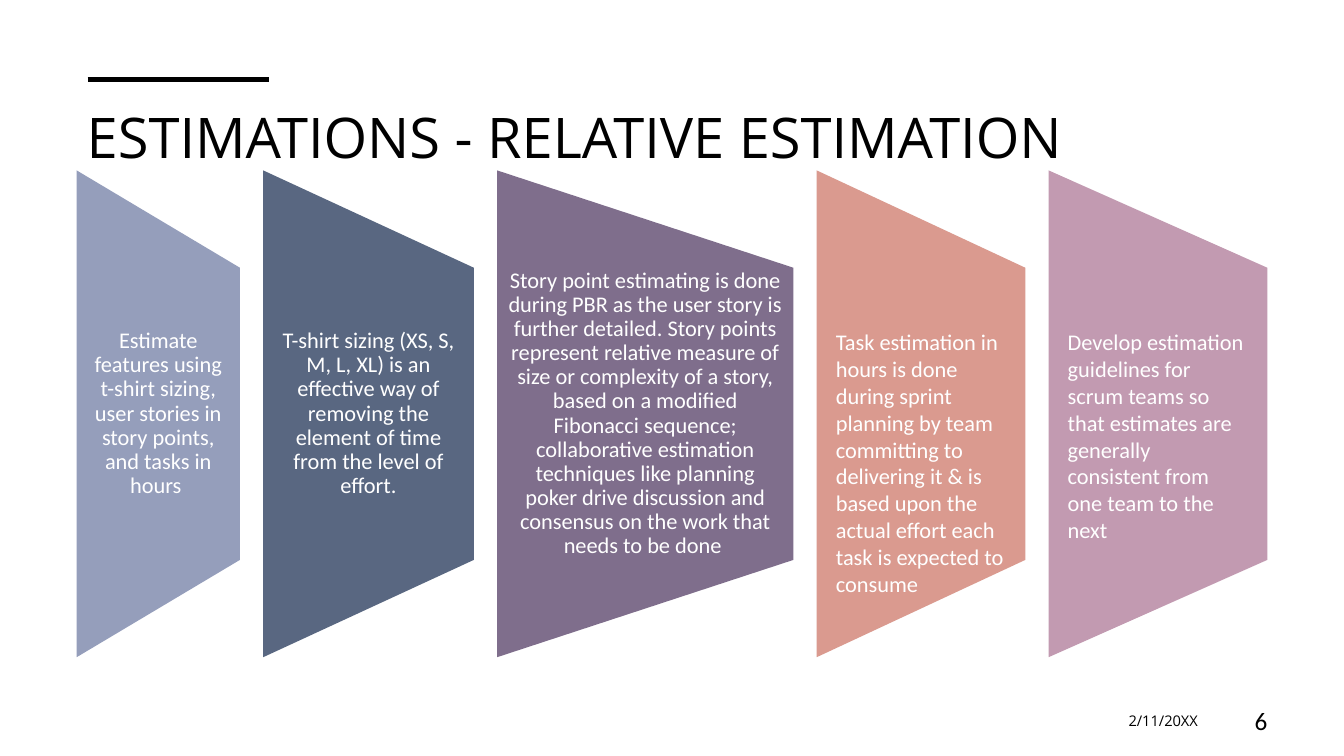
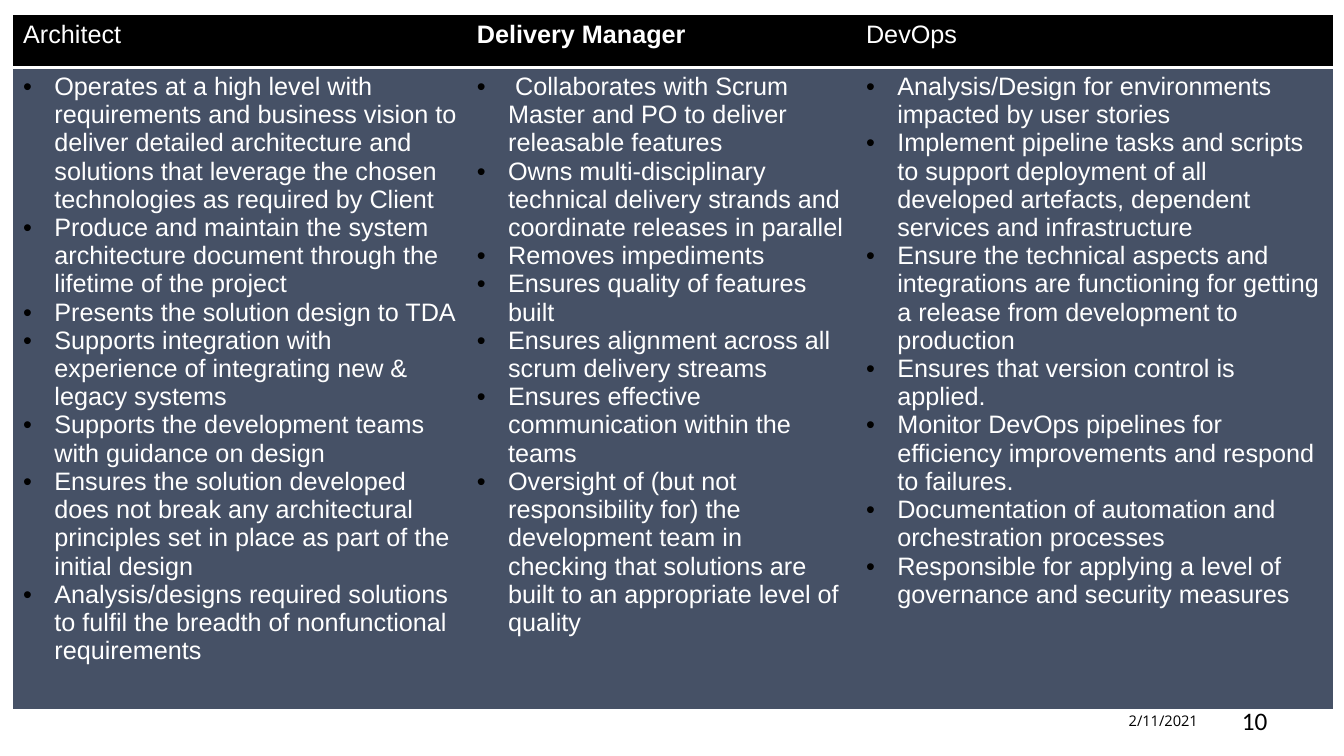
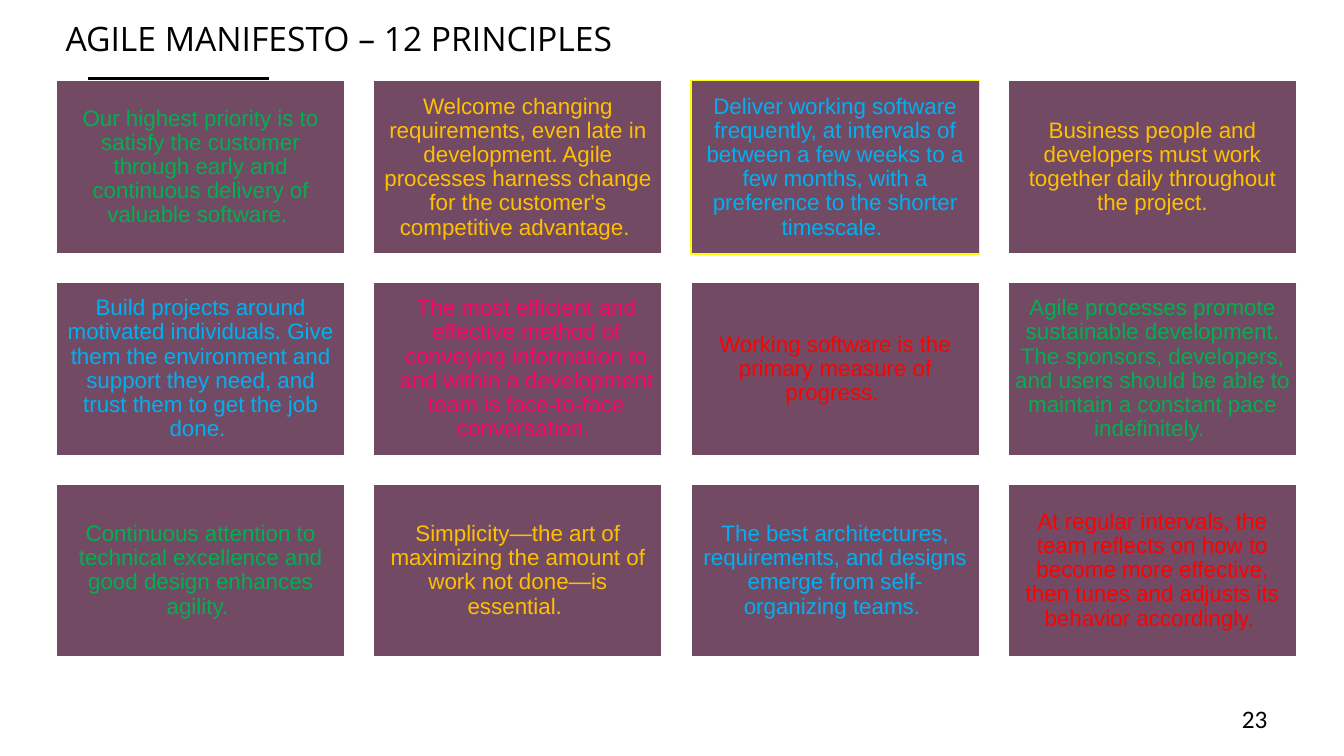
from lxml import etree
from pptx import Presentation
from pptx import util as u
from pptx.dml.color import RGBColor
from pptx.enum import shapes, text
from pptx.oxml import ns

BLACK, WHITE, SLATE, PLUM = "000000", "FFFFFF", "465166", "734A64"
GREEN, AMBER, BLUE, PINK, RED = "00B050", "FFC000", "00B0F0", "FF0066", "FF0000"
YELLOW = "FFFF00"
HEADING, BODY, PLAIN = "Open Sans", "Calibri", "Arial"
LEFT, CENTER, RIGHT = text.PP_ALIGN.LEFT, text.PP_ALIGN.CENTER, text.PP_ALIGN.RIGHT
TOP, MIDDLE = text.MSO_ANCHOR.TOP, text.MSO_ANCHOR.MIDDLE
NO_TABLE_STYLE = "{2D5ABB26-0587-4C30-8999-92F81FD0307C}"

ESTIMATES = [
    (1.62, "959EBB", CENTER,
     "Estimate features using t-shirt sizing, user stories in story points, and tasks in hours "),
    (2.09, "596781", CENTER,
     "T-shirt sizing (XS, S, M, L, XL) is an effective way of removing the element of time "
     "from the level of effort."),
    (2.94, "7F6E8C", CENTER,
     "Story point estimating is done during PBR as the user story is further detailed. Story "
     "points represent relative measure of size or complexity of a story, based on a modified "
     "Fibonacci sequence; collaborative estimation techniques like planning poker drive "
     "discussion and consensus on the work that needs to be done "),
    (2.07, "DA9A8F", LEFT,
     "Task estimation in hours is done during sprint planning by team committing to delivering "
     "it & is based upon the actual effort each task is expected to consume"),
    (2.17, "C29AB1", LEFT,
     "Develop estimation guidelines for scrum teams so that estimates are generally consistent "
     "from one team to the next"),
]

ROLES = [
    ("Architect", 4.5, False, [
        "Operates at a high level with requirements and business vision to deliver detailed "
        "architecture and solutions that leverage the chosen technologies as required by Client",
        "Produce and maintain the system architecture document through the lifetime of the project",
        "Presents the solution design to TDA",
        "Supports integration with experience of integrating new & legacy systems",
        "Supports the development teams with guidance on design",
        "Ensures the solution developed does not break any architectural principles set in place "
        "as part of the initial design",
        "Analysis/designs required solutions to fulfil the breadth of nonfunctional requirements",
    ]),
    ("Delivery Manager", 3.86, True, [
        " Collaborates with Scrum Master and PO to deliver releasable features",
        "Owns multi-disciplinary technical delivery strands and coordinate releases in parallel",
        "Removes impediments",
        "Ensures quality of features built",
        "Ensures alignment across all scrum delivery streams",
        "Ensures effective communication within the teams",
        "Oversight of (but not responsibility for) the development team in checking that "
        "solutions are built to an appropriate level of quality",
    ]),
    ("DevOps", 4.73, False, [
        "Analysis/Design for environments impacted by user stories",
        "Implement pipeline tasks and scripts to support deployment of all developed artefacts, "
        "dependent services and infrastructure",
        "Ensure the technical aspects and integrations are functioning for getting a release "
        "from development to production",
        "Ensures that version control is applied.",
        "Monitor DevOps pipelines for efficiency improvements and respond to failures.",
        "Documentation of automation and orchestration processes",
        "Responsible for applying a level of governance and security measures",
    ]),
]

PRINCIPLES = [
    (GREEN, "Our highest priority is to satisfy the customer through early and continuous "
            "delivery of valuable software. "),
    (AMBER, "Welcome changing requirements, even late in development. Agile processes harness "
            "change for the customer's competitive advantage. "),
    (BLUE, "Deliver working software frequently, at intervals of between a few weeks to a few "
           "months, with a preference to the shorter timescale. "),
    (AMBER, "Business people and developers must work together daily throughout the project."),
    (BLUE, "Build projects around motivated individuals. Give them the environment and support "
           "they need, and trust them to get the job done. "),
    (PINK, "The most efficient and effective method of conveying information to and within a "
           "development team is face-to-face conversation. "),
    (RED, "Working software is the primary measure of progress. "),
    (GREEN, "Agile processes promote sustainable development. The sponsors, developers, and "
            "users should be able to maintain a constant pace indefinitely. "),
    (GREEN, "Continuous attention to technical excellence and good design enhances agility. "),
    (AMBER, "Simplicity—the art of maximizing the amount of work not done—is essential. "),
    (BLUE, "The best architectures, requirements, and designs emerge from self-organizing teams. "),
    (RED, "At regular intervals, the team reflects on how to become more effective, then tunes "
          "and adjusts its behavior accordingly. "),
]


def paint(target, color):
    """Give a fill or a line one solid colour."""
    target.solid()
    target.fore_color.rgb = RGBColor.from_string(color)


def box(*lengths):
    """Turn lengths in inches into slide units."""
    return [u.Inches(n) for n in lengths]


def write(tf, lines, size, font, color, align=LEFT, spacing=1.0, bold=False):
    """Fill a text frame with one paragraph per line."""
    for i, line in enumerate(lines):
        p = tf.add_paragraph() if i else tf.paragraphs[0]
        p.text, p.alignment, p.line_spacing = line, align, spacing
        p.font.size, p.font.name, p.font.bold = u.Pt(size), font, bold
        p.font.color.rgb = RGBColor.from_string(color)


def frame(tf, insets, anchor):
    """Set wrapping, insets and anchor of a text frame."""
    tf.word_wrap, tf.auto_size, tf.vertical_anchor = True, text.MSO_AUTO_SIZE.NONE, anchor
    tf.margin_left, tf.margin_top, tf.margin_right, tf.margin_bottom = box(*insets)


def add_text(s, place, line, size, font, color, align, insets, anchor, spacing=1.0):
    """Add a text box."""
    tf = s.shapes.add_textbox(*box(*place)).text_frame
    frame(tf, insets, anchor)
    write(tf, [line], size, font, color, align, spacing)


def add_block(s, kind, place, color, outline=None):
    """Add a flat shape with an optional outline."""
    sp = s.shapes.add_shape(kind, *box(*place))
    sp.shadow.inherit = False
    paint(sp.fill, color)
    if outline:
        paint(sp.line.fill, outline)
        sp.line.width = u.Pt(1)
    else:
        sp.line.fill.background()
    return sp


def add_heading(s, place, line, size):
    """Place and format the title."""
    title = s.shapes.title
    title.left, title.top, title.width, title.height = box(*place)
    frame(title.text_frame, (0.1, 0.05, 0.1, 0.05), TOP)
    write(title.text_frame, [line], size, HEADING, BLACK)


def add_master_rule(prs):
    """Put the short black rule on the slide master."""
    s = prs.slides[0]
    rule = s.shapes.add_connector(shapes.MSO_CONNECTOR.STRAIGHT, *box(0.87, 0.79, 2.67, 0.79))
    paint(rule.line.fill, BLACK)
    rule.line.width = u.Pt(3.5)
    etree.SubElement(rule._element.spPr, ns.qn("a:effectLst"))
    rule._element.nvCxnSpPr.cNvPr.set("id", "20")
    prs.slide_master.shapes._spTree.append(rule._element)


def add_footer(s, number, date=None, spacing=1.0):
    """Place the slide number and the optional date."""
    style = (BLACK, RIGHT, (0.1, 0.05, 0.1, 0.05), MIDDLE, spacing)
    if date:
        add_text(s, (9.14, 6.95, 2.84, 0.4), date, 10.5, HEADING, *style)
    add_text(s, (11.93, 6.95, 0.74, 0.4), number, 18, BODY, *style)


def add_trapezoids(s, x, y, height, gap):
    """Lay out the estimation trapezoids from left to right."""
    for width, color, align, line in ESTIMATES:
        turned = (x + (width - height) / 2, y + (height - width) / 2, height, width)
        sp = add_block(s, shapes.MSO_SHAPE.FLOWCHART_MANUAL_OPERATION, turned, color)
        sp.rotation = 270
        if align == CENTER:
            layout = ((0.11, 0, 0.11, 0), MIDDLE, 0.9)
        else:
            layout = ((0.19, 0.6, 0.21, 0), TOP)
        add_text(s, (x, y + height / 5, width, height * 3 / 5), line, 16, BODY, WHITE,
                 align, *layout)
        x += width + gap


def add_bullet(p):
    """Give a paragraph a hanging black bullet."""
    pPr = p._p.get_or_add_pPr()
    pPr.set("marL", str(u.Inches(0.31)))
    pPr.set("indent", str(-u.Inches(0.31)))
    color = etree.Element(ns.qn("a:buClr"))
    etree.SubElement(color, ns.qn("a:srgbClr"), val=BLACK)
    font = etree.Element(ns.qn("a:buFont"), typeface=PLAIN)
    char = etree.Element(ns.qn("a:buChar"), char="•")
    at = pPr.index(pPr.find(ns.qn("a:defRPr")))
    pPr[at:at] = [color, font, char]


def add_bottom_border(cell, color, width):
    """Draw the lower border of a table cell."""
    line = etree.Element(ns.qn("a:lnB"), w=str(u.Pt(width)))
    fill = etree.SubElement(line, ns.qn("a:solidFill"))
    etree.SubElement(fill, ns.qn("a:srgbClr"), val=color)
    cell._tc.get_or_add_tcPr().insert(0, line)


def add_roles(s, x, y, heights):
    """Place the table of roles and their duties."""
    width = sum(role[1] for role in ROLES)
    table = s.shapes.add_table(2, len(ROLES), *box(x, y, width, sum(heights))).table
    table._tbl.tblPr.find(ns.qn("a:tableStyleId")).text = NO_TABLE_STYLE
    table.first_row = table.horz_banding = False
    for row, height in zip(table.rows, heights):
        row.height = u.Inches(height)
    for c, (role, width, bold, duties) in enumerate(ROLES):
        table.columns[c].width = u.Inches(width)
        head, body = table.cell(0, c), table.cell(1, c)
        paint(head.fill, BLACK)
        paint(body.fill, SLATE)
        add_bottom_border(head, WHITE, 2)
        write(head.text_frame, [role], 18, PLAIN, WHITE, bold=bold)
        write(body.text_frame, duties, 18, PLAIN, WHITE)
        for p in body.text_frame.paragraphs:
            add_bullet(p)


def add_principles(s, x, y, right_edge, columns, step_y):
    """Lay out the principle cards in a grid."""
    width, height = 2.86, 1.72
    step_x = (right_edge - width - x) / (columns - 1)
    for i, (color, line) in enumerate(PRINCIPLES):
        row, column = divmod(i, columns)
        place = (x + column * step_x, y + row * step_y, width, height)
        outline = YELLOW if i == 2 else WHITE
        sp = add_block(s, shapes.MSO_SHAPE.RECTANGLE, place, PLUM, outline)
        left, right = (0.17, 0) if color == PINK else (0.06, 0.06)
        frame(sp.text_frame, (left, 0.07, right, 0.07), MIDDLE)
        write(sp.text_frame, [line], 16, PLAIN, color, CENTER, 0.9)


def estimation_slide(prs):
    """Build the slide on relative estimation."""
    s = prs.slides.add_slide(prs.slide_layouts[5])
    add_heading(s, (0.76, 0.97, 11.81, 0.72), "ESTIMATIONS - RELATIVE ESTIMATION", 40)
    add_trapezoids(s, 0.76, 1.69, 4.83, 0.23)
    add_footer(s, "6", "2/11/20XX")


def roles_slide(prs):
    """Build the slide on roles."""
    s = prs.slides.add_slide(prs.slide_layouts[6])
    add_roles(s, 0.13, 0.15, (0.52, 6.36))
    add_footer(s, "10", "2/11/2021")


def principles_slide(prs):
    """Build the slide on the agile principles."""
    s = prs.slides.add_slide(prs.slide_layouts[5])
    add_heading(s, (0.55, 0.13, 10.92, 0.64), "AGILE MANIFESTO – 12 PRINCIPLES", 24)
    add_footer(s, "23", spacing=0.9)
    add_principles(s, 0.56, 0.8, 12.86, 4, 2)


def main():
    """Build and save the presentation."""
    prs = Presentation()
    prs.slide_width, prs.slide_height = box(13.33, 7.5)
    for build in (estimation_slide, roles_slide, principles_slide):
        build(prs)
    add_master_rule(prs)
    prs.save("out.pptx")


if __name__ == "__main__":
    main()
